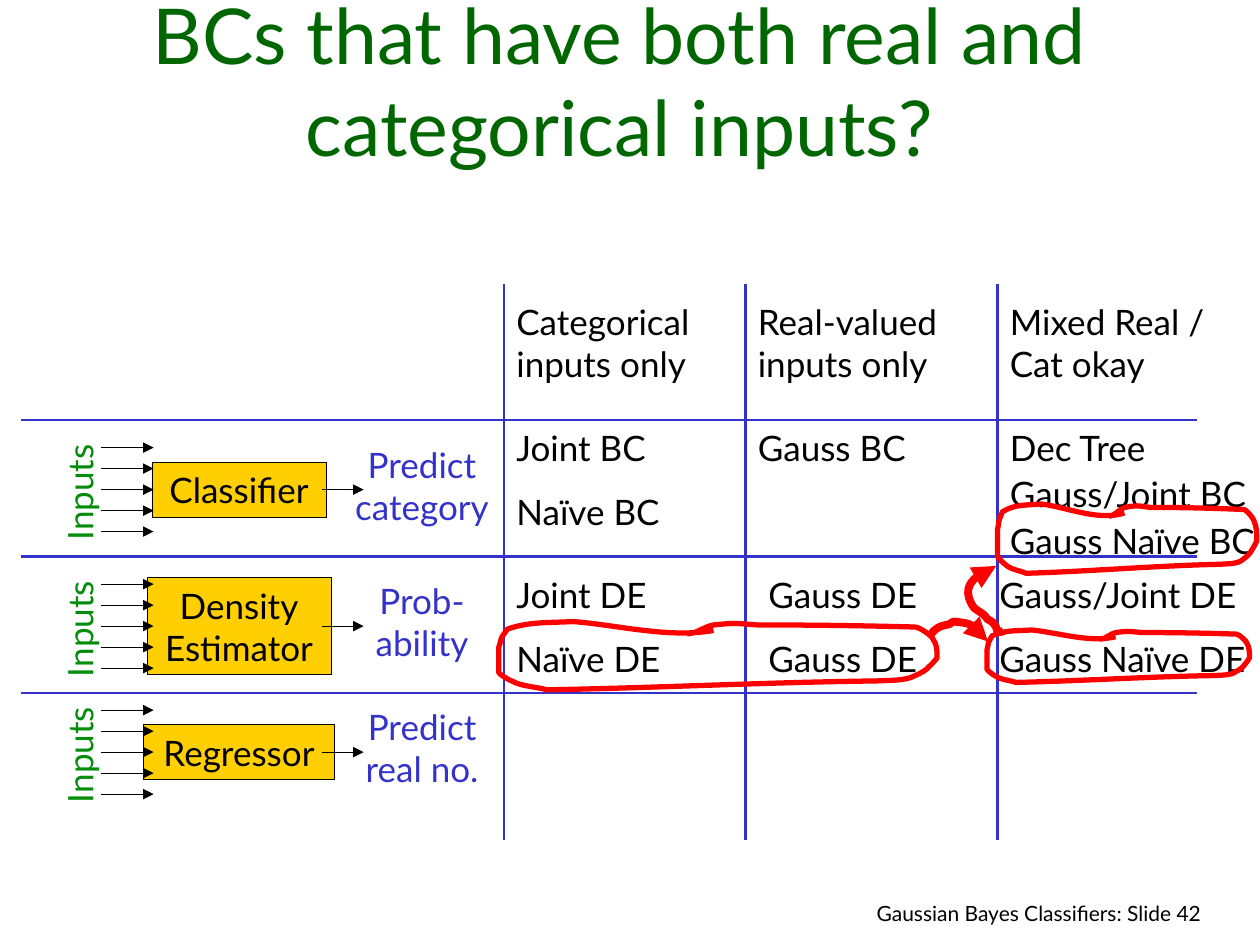
from lxml import etree
from pptx import Presentation
from pptx import util as u
from pptx.dml.color import RGBColor
from pptx.enum import shapes, text
from pptx.oxml.ns import qn

FONT = "Lato"
COLORS = {"title": "006600", "inputs": "048C0A", "rule": "3333CC",
          "box": "FFCF01", "ink": "000000", "mark": "FF0000"}

# The slide is a grid of 120 columns by 90 rows, twelve to the inch.
CELL = u.Inches(1) // 12
COLUMNS = (48, 71, 95)
ROWS = (40, 53, 66)
TABLE = (2, 27, 112, 53)
HEADERS = ("Categorical inputs only", "Real-valued inputs only", "Mixed Real / Cat okay")

# Cell contents: lines, (left, top, width, height), space before each later line
CELLS = (
    (("Joint BC", "Naïve BC"), (48, 40, 20, 11.3), 12.5),
    (("Gauss BC",), (71, 40, 20, 5.3), 12.5),
    (("Dec Tree", "Gauss/Joint BC", "Gauss Naïve BC"), (95, 40, 27, 14), 2.5),
    (("Joint DE", "Naïve DE"), (48, 54, 20, 11.3), 12.5),
    (("Gauss DE", "Gauss DE"), (72, 54, 20, 11.3), 12.5),
    (("Gauss/Joint DE", "Gauss Naïve DE"), (94, 54, 26, 15.3), 12.5),
)
# Learner, its output and the output's width, top of its band, size of its box
PIPELINES = (
    (("Classifier",), ("Predict", "category"), 16.1, 40, (16.6, 5.25)),
    (("Density", "Estimator"), ("Prob-", "ability"), 11.8, 53, (17.5, 9.25)),
    (("Regressor",), ("Predict", "real no."), 14.3, 65, (18.2, 5.25)),
)
# Bezier points as shares of the box that holds the stroke
LOOP = (
    (.49, .13), (.39, .25), (.27, .05), (.17, 0), (.11, .02), (.07, 0), (.02, .11),
    (0, .29), (.01, .18), (0, .38), (0, .49), (0, .62), (0, .75),
    (0, .76), (.02, .85), (.03, .87), (.05, .95), (.09, .96), (.11, 1),
    (.37, .97), (.61, .89), (.86, .87), (.89, .86), (.93, .87), (.95, .79),
    (.96, .77), (.98, .69), (.98, .67), (.99, .62), (1, .53), (1, .53),
    (1, .44), (1, .33), (.99, .25), (.99, .22), (.96, .08), (.95, .08),
    (.83, .06), (.71, .05), (.59, .05), (.53, .02), (.54, .02), (.49, .05),
    (.47, .07), (.45, .18), (.43, .18),
)
ARC_RIGHT = (
    (0, .69), (.09, .31), (.15, .25), (.33, .13), (.35, .06), (.41, 0), (.41, 0),
    (.59, .06), (.67, .06), (.83, .38), (.87, .63), (.91, .81), (1, 1),
)
ARC_UP = (
    (1, .96), (.97, .98), (.91, 1), (.88, .98), (.84, .98), (.81, .94), (.81, .91),
    (.69, .81), (.75, .85), (.59, .79), (.5, .7), (.41, .7), (.25, .62),
    (0, .4), (.16, .15), (.59, .08), (.75, 0), (.66, .04), (.81, 0),
)
LOOP_BOXES = ((47.5, 59.2, 41.75, 6.5), (95, 48, 24.7, 6.6), (94, 60, 25, 5))


def rgb(name):
    return RGBColor.from_string(COLORS[name])


def grid(*values):
    return [u.Emu(round(value * CELL)) for value in values]


def centred(x, y, width, height):
    return x - width / 2, y - height / 2, width, height


def write(shape, lines, color="ink", size=20, align=text.PP_ALIGN.LEFT,
          anchor=text.MSO_ANCHOR.TOP, wrap=True, gap=0):
    frame = shape.text_frame
    frame.word_wrap = wrap
    frame.vertical_anchor = anchor
    frame.text = "\n".join(lines)
    for index, paragraph in enumerate(frame.paragraphs):
        paragraph.alignment = align
        paragraph.space_before = u.Pt(gap if index else 0)
        paragraph.font.name = FONT
        paragraph.font.size = u.Pt(size)
        paragraph.font.color.rgb = rgb(color)


def add_text(parent, box, lines, **style):
    shape = parent.shapes.add_textbox(*grid(*box))
    write(shape, lines, **style)
    return shape


def style_line(shape, color, width, arrow=False):
    shape.line.color.rgb = rgb(color)
    shape.line.width = u.Pt(width)
    if arrow:
        etree.SubElement(shape.line._get_or_add_ln(), qn("a:tailEnd"), type="triangle")


def add_line(parent, start, end, color, width, arrow=False):
    line = parent.shapes.add_connector(shapes.MSO_CONNECTOR.STRAIGHT, *grid(*start, *end))
    style_line(line, color, width, arrow)
    etree.SubElement(line._element.spPr, qn("a:effectLst"))


def bend(shape):
    """Turn each three line segments of a freeform into one Bezier curve."""
    outline = shape._element.spPr.find(".//" + qn("a:path"))
    segments = outline.findall(qn("a:lnTo"))
    for first in range(0, len(segments), 3):
        curve = etree.SubElement(outline, qn("a:cubicBezTo"))
        for segment in segments[first:first + 3]:
            curve.append(segment[0])
            outline.remove(segment)


def add_stroke(slide, box, points, width, arrow=False):
    left, top, across, down = box
    start, *rest = [grid(left + x * across, top + y * down) for x, y in points]
    builder = slide.shapes.build_freeform(*start)
    builder.add_line_segments(rest, close=False)
    stroke = builder.convert_to_shape()
    bend(stroke)
    stroke.fill.background()
    stroke.shadow.inherit = False
    style_line(stroke, "mark", width, arrow)


def add_pipeline(slide, left, top, learner, output, output_width, size):
    """Draw inputs flowing into a learner and its prediction."""
    group = slide.shapes.add_group_shape()
    center = top + 6.63
    middle = text.PP_ALIGN.CENTER
    label = add_text(group, centred(left + 5.6, center + .27, 12.5, 5.25), ("Inputs",),
                     color="inputs", align=middle, wrap=False)
    label.rotation = 270
    box = group.shapes.add_shape(shapes.MSO_SHAPE.RECTANGLE,
                                 *grid(*centred(left + 20.77, center, *size)))
    box.shadow.inherit = False
    box.fill.solid()
    box.fill.fore_color.rgb = rgb("box")
    style_line(box, "ink", .25)
    write(box, learner, align=middle, anchor=text.MSO_ANCHOR.MIDDLE, wrap=False)
    add_text(group, centred(left + 38.2, center - .37, output_width, 9.25), output,
             color="rule", align=middle, wrap=False)
    for offset in range(-4, 5, 2):
        y = center + offset
        add_line(group, (left + 7.63, y), (left + 12.63, y), "ink", .25, arrow=True)
    add_line(group, (left + 28.63, center), (left + 32.63, center), "ink", .25, arrow=True)


def add_rules(slide, left, top, width, height):
    for row in ROWS:
        add_line(slide, (left, row), (left + width, row), "rule", 1.5)
    for column in COLUMNS:
        add_line(slide, (column, top), (column, top + height), "rule", 1.5)


def add_methods(slide, top):
    for column, header in zip(COLUMNS, HEADERS):
        add_text(slide, (column, top + 1, 23, 9.25), (header,))
    for lines, box, gap in CELLS:
        add_text(slide, box, lines, gap=gap)


def add_marks(slide):
    for box in LOOP_BOXES:
        add_stroke(slide, box, LOOP, 3)
    add_stroke(slide, (88.6, 59.2, 5.5, 1.9), ARC_RIGHT, 4.5, arrow=True)
    add_stroke(slide, (91.8, 53.9, 3.8, 6.4), ARC_UP, 4.5, arrow=True)


def main():
    presentation = Presentation()
    presentation.slide_width, presentation.slide_height = grid(120, 90)
    slide = presentation.slides.add_slide(presentation.slide_layouts[6])
    add_text(slide, (68.6, 85.13, 47, 4), ("Gaussian Bayes Classifiers: Slide 42",),
             size=12, align=text.PP_ALIGN.RIGHT)
    add_text(slide, (3, 3, 112, 14), ("BCs that have both real and categorical inputs?",),
             color="title", size=44, align=text.PP_ALIGN.CENTER,
             anchor=text.MSO_ANCHOR.BOTTOM)
    for learner, output, output_width, top, size in PIPELINES:
        add_pipeline(slide, TABLE[0], top, learner, output, output_width, size)
    add_rules(slide, *TABLE)
    add_methods(slide, TABLE[1])
    add_marks(slide)
    presentation.save("out.pptx")


if __name__ == "__main__":
    main()
